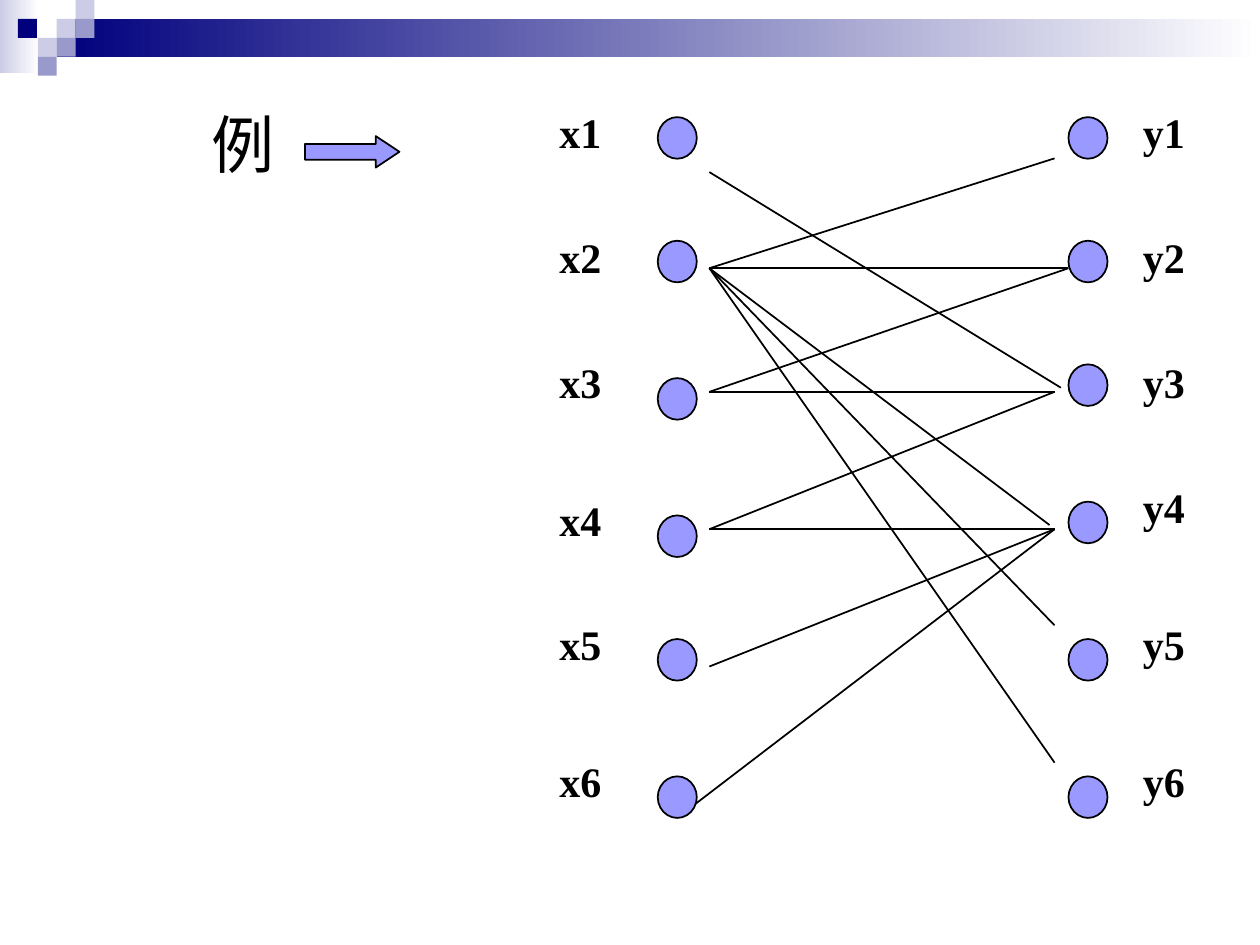
from lxml.etree import SubElement
from pptx import Presentation
from pptx.dml.color import RGBColor
from pptx.enum.shapes import MSO_CONNECTOR, MSO_SHAPE as Shape
from pptx.enum.text import MSO_ANCHOR
from pptx.oxml.ns import qn
from pptx.util import Inches, Pt

COLORS = {"navy": "00007D", "pale": "CCCCE6", "mid": "9999CC",
          "dot": "9999FF", "ink": "000000", "white": "FFFFFF"}
COLUMN = 0.1             # one hundredth of the slide's width
ROW, TOP = 0.109, 0.93   # row height and first row of the graph
PIXEL = 0.15             # side of a square in the header

# Rows of the dots and of their labels, and columns of each side
SIDES = {
    "x": {"dot": 52.2, "label": 44.2, "dots": [0, 9, 19, 29, 38, 48],
          "labels": [-0.9, 8.25, 17.35, 27.35, 36.4, 46.4]},
    "y": {"dot": 84.8, "label": 90.5, "dots": [0, 9, 18, 28, 38, 48],
          "labels": [-0.9, 8.25, 17.35, 26.4, 36.4, 46.4]},
}
# Start (column, row) of each fan of edges, and the ends it reaches
EDGES = {
    (56.3, 4): [(84.2, 19.7)],
    (56.3, 11): [(83.7, 3), (84.8, 11), (83.3, 29.7), (83.7, 37), (83.7, 47)],
    (56.3, 20): [(84.8, 11), (83.7, 20)],
    (56.3, 30): [(83.7, 20), (83.7, 30)],
    (56.3, 40): [(83.7, 30)],
    (55.2, 50): [(83.7, 30)],
}
PIXELS = [(3, 1, "pale"), (4, 0, "pale"), (4, 1, "mid"), (2, 2, "pale"),
          (0.95, 1, "navy"), (3, 2, "mid"), (2, 3, "mid")]


def rgb(name):
    return RGBColor.from_string(COLORS[name])


def place(column, row):
    """Turn a graph column and row into slide lengths."""
    return Inches(column * COLUMN), Inches(TOP + row * ROW)


class Painter:
    def __init__(self, slide):
        self.slide = slide
        self.shapes = slide.shapes

    def shape(self, kind, left, top, width, height, color, outlined=False):
        shape = self.shapes.add_shape(kind, left, top, width, height)
        shape.shadow.inherit = False
        shape.fill.solid()
        shape.fill.fore_color.rgb = rgb(color)
        if outlined:
            shape.line.color.rgb = rgb("ink")
            shape.line.width = Pt(1)
        else:
            shape.line.fill.background()
        return shape

    def fade(self, left, top, width, height, color):
        """Draw a band that fades to white on the right."""
        band = self.shape(Shape.RECTANGLE, Inches(left), Inches(top),
                          Inches(width), Inches(height), color)
        band.fill.gradient()
        band.fill.gradient_angle = 0
        for stop, name, position in zip(band.fill.gradient_stops, (color, "white"), (0, 1)):
            stop.color.rgb = rgb(name)
            stop.position = position

    def pixel(self, column, row, color):
        self.shape(Shape.RECTANGLE, Inches(column * PIXEL), Inches(row * PIXEL),
                   Inches(PIXEL), Inches(PIXEL), color)

    def dot(self, column, row):
        self.shape(Shape.OVAL, *place(column, row), Inches(0.31), Inches(0.33),
                   "dot", outlined=True)

    def edge(self, start, end):
        line = self.shapes.add_connector(MSO_CONNECTOR.STRAIGHT, *place(*start), *place(*end))
        line.line.color.rgb = rgb("ink")
        line.line.width = Pt(1)
        SubElement(line._element.spPr, qn("a:effectLst"))

    def style(self, paragraph, font, size, bold=False):
        for span in paragraph.runs:
            span.font.name = font
            span.font.size = Pt(size)
            span.font.bold = bold
            span.font.color.rgb = rgb("ink")

    def label(self, text, column, row):
        box = self.shapes.add_textbox(*place(column, row), Inches(0.54), Inches(0.42))
        frame = box.text_frame
        frame.word_wrap = True
        frame.vertical_anchor = MSO_ANCHOR.MIDDLE
        frame.margin_left = frame.margin_right = Inches(0.02)
        frame.margin_top = frame.margin_bottom = Inches(0.01)
        frame.text = text
        self.style(frame.paragraphs[0], "Times New Roman", 24, bold=True)

    def body(self, text, left, top, width, height):
        box = self.slide.placeholders[1]
        box.left, box.top = Inches(left), Inches(top)
        box.width, box.height = Inches(width), Inches(height)
        box.text_frame.text = text
        para = box.text_frame.paragraphs[0]
        properties = para._p.get_or_add_pPr()
        properties.set("marL", str(Inches(0.38)))
        properties.set("indent", str(Inches(-0.38)))
        SubElement(properties, qn("a:buNone"))
        para.line_spacing = 1.2
        para.space_before = Pt(0)
        self.style(para, "Arial", 36)


def main():
    deck = Presentation()
    deck.slide_width, deck.slide_height = Inches(10), Inches(7.5)
    slide = deck.slides.add_slide(deck.slide_layouts[1])
    title = slide.shapes.title._element
    title.getparent().remove(title)
    painter = Painter(slide)

    painter.fade(0, 0, 0.31, 0.58, "pale")
    painter.fade(0.45, 0.15, 9.55, 0.3, "navy")
    for pixel in PIXELS:
        painter.pixel(*pixel)

    painter.body("例", 1.58, 0.67, 2.75, 5.76)
    for side in SIDES.values():
        for row in side["dots"]:
            painter.dot(side["dot"], row)
    for start, ends in EDGES.items():
        for end in ends:
            painter.edge(start, end)
    for name, side in SIDES.items():
        for number, row in enumerate(side["labels"], 1):
            painter.label(f"{name}{number}", side["label"], row)

    arrow = painter.shape(Shape.RIGHT_ARROW, Inches(2.42), Inches(1.08),
                          Inches(0.75), Inches(0.25), "dot", outlined=True)
    arrow.adjustments[0], arrow.adjustments[1] = 0.5, 0.75
    deck.save("out.pptx")


if __name__ == "__main__":
    main()
